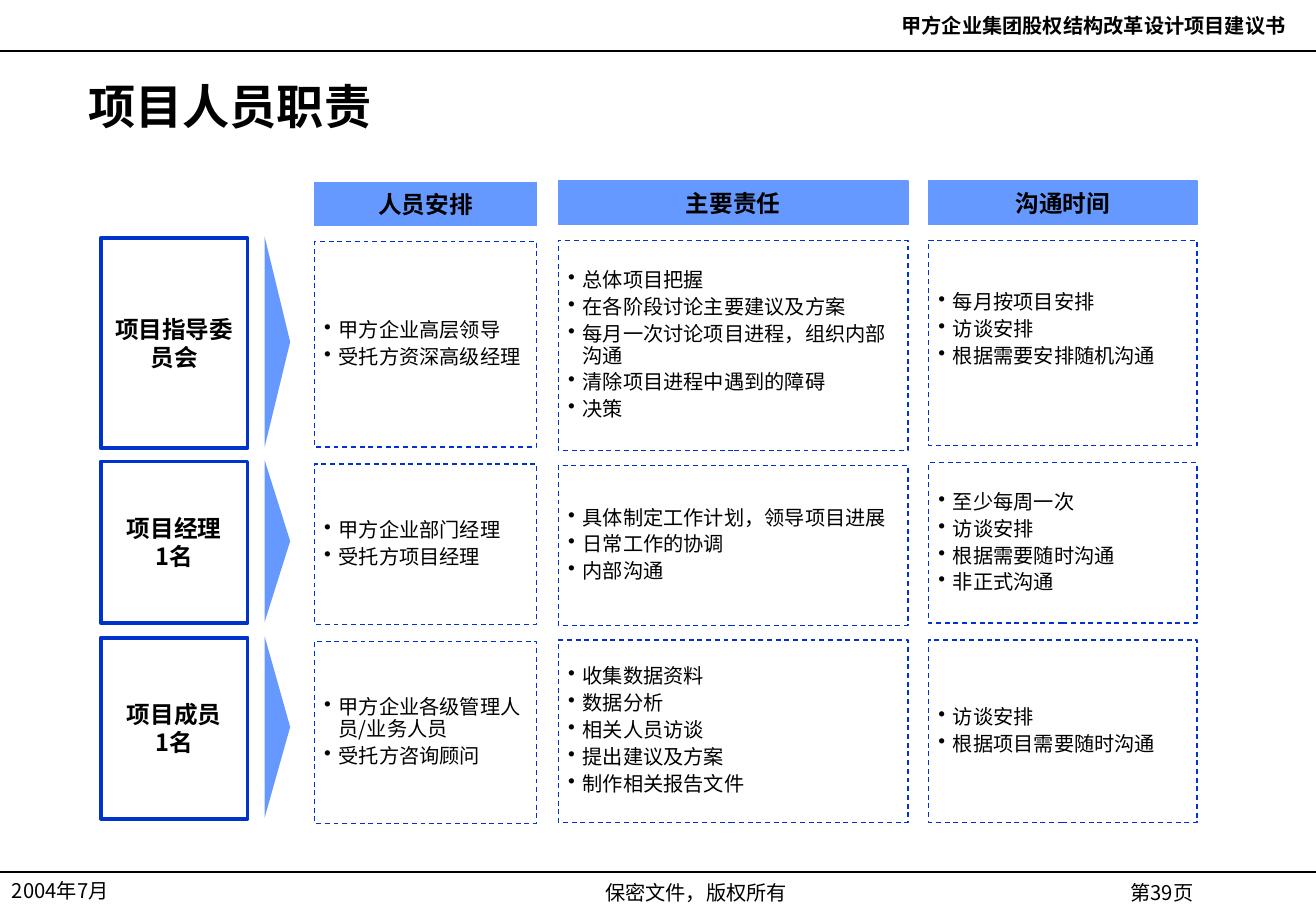
import pptx
import pptx.util
import pptx.dml.color
import pptx.enum.dml
import pptx.enum.shapes
import pptx.enum.text
import pptx.oxml.ns
import lxml.etree

PX = 9144  # 100 px to the inch
Pt = pptx.util.Pt
RGB = pptx.dml.color.RGBColor
BLACK = RGB(0x00, 0x00, 0x00)
NAVY = RGB(0x00, 0x33, 0xCC)
SKY = RGB(0x66, 0x99, 0xFF)
SANS = "Noto Sans CJK SC"
SERIF = "Times New Roman"
KIND = pptx.enum.shapes.MSO_SHAPE
DASH = pptx.enum.dml.MSO_LINE.DASH
MID = pptx.enum.text.MSO_ANCHOR.MIDDLE
TOP = pptx.enum.text.MSO_ANCHOR.TOP
LEFT = pptx.enum.text.PP_ALIGN.LEFT
MIDST = pptx.enum.text.PP_ALIGN.CENTER
RIGHT = pptx.enum.text.PP_ALIGN.RIGHT
qn = pptx.oxml.ns.qn

deck = pptx.Presentation()
deck.slide_width, deck.slide_height = 1084 * PX, 750 * PX
slide = deck.slides.add_slide(deck.slide_layouts[6])


def write(shape, lines, size, align=MIDST, bold=False, font=SANS,
          inset=(10, 5, 10, 5), anchor=MID, dots=False):
    """Fill a shape with one paragraph per line, bulleted if dots is set."""
    frame = shape.text_frame
    frame.word_wrap = True
    frame.vertical_anchor = anchor
    (frame.margin_left, frame.margin_top,
     frame.margin_right, frame.margin_bottom) = [n * PX for n in inset]
    for i, line in enumerate(lines):
        para = frame.paragraphs[0] if i == 0 else frame.add_paragraph()
        para.alignment = align
        if dots:
            props = para._p.get_or_add_pPr()
            props.set("marL", str(12 * PX))
            props.set("indent", str(-12 * PX))
            tint = lxml.etree.SubElement(props, qn("a:buClr"))
            lxml.etree.SubElement(tint, qn("a:srgbClr"), val=str(BLACK))
            lxml.etree.SubElement(props, qn("a:buChar"), char="•")
            para.line_spacing = 0.9
            para.space_before = Pt(3 if i else 0)
        run = para.add_run()
        run.text = line
        run.font.size = Pt(size)
        run.font.bold = bold
        run.font.color.rgb = BLACK
        run.font.name = font
        lxml.etree.SubElement(run._r.get_or_add_rPr(), qn("a:ea"), typeface=SANS)


def draw(kind, x, y, w, h, fill=None, line=None, width=0.75):
    shape = slide.shapes.add_shape(kind, x * PX, y * PX, w * PX, h * PX)
    shape.shadow.inherit = False
    if fill is None:
        shape.fill.background()
    else:
        shape.fill.solid()
        shape.fill.fore_color.rgb = fill
    if line is None:
        shape.line.fill.background()
    else:
        shape.line.color.rgb = line
        shape.line.width = Pt(width)
    return shape


# Page rules
for y in (42, 718):
    rule = slide.shapes.add_connector(
        pptx.enum.shapes.MSO_CONNECTOR.STRAIGHT, 0, y * PX, 1084 * PX, y * PX)
    rule.line.color.rgb = BLACK
    rule.line.width = Pt(0.75)
    lxml.etree.SubElement(rule._element.spPr, qn("a:effectLst"))

# Title, header and footer
for text, x, y, w, h, size, align, bold, font, anchor in (
    ("项目人员职责", 63, 58, 975, 58, 28, LEFT, True, SANS, MID),
    ("甲方企业集团股权结构改革设计项目建议书", 690, 6, 379, 30, 12, RIGHT, True, SANS, TOP),
    ("2004年7月", 0, 718, 181, 30, 12, LEFT, False, SANS, TOP),
    ("保密文件，版权所有", 280, 720, 587, 30, 12, MIDST, False, SERIF, TOP),
    ("第39页", 876, 720, 162, 30, 12, MIDST, False, SANS, TOP),
):
    box = slide.shapes.add_textbox(x * PX, y * PX, w * PX, h * PX)
    write(box, [text], size, align, bold, font, anchor=anchor)

# Roles with their pointers
for role, y, h in (
    (["项目指导委员会"], 196, 173),
    (["项目经理", "1名"], 380, 133),
    (["项目成员", "1名"], 525, 149),
):
    write(draw(KIND.RECTANGLE, 83, y, 121, h, line=NAVY, width=2.25),
          role, 14, bold=True)
    tip = draw(KIND.ISOSCELES_TRIANGLE, 228 - h // 2, y + h // 2 - 11, h, 21, SKY)
    tip.rotation = 90

# Columns: heading, left, width, heading top, then cells as (top, height, points)
columns = (
    ("人员安排", 259, 183, 150, (
        (199, 169, ["甲方企业高层领导", "受托方资深高级经理"]),
        (382, 132, ["甲方企业部门经理", "受托方项目经理"]),
        (528, 150, ["甲方企业各级管理人员/业务人员", "受托方咨询顾问"]))),
    ("主要责任", 460, 288, 149, (
        (198, 173, ["总体项目把握", "在各阶段讨论主要建议及方案",
                    "每月一次讨论项目进程，组织内部沟通",
                    "清除项目进程中遇到的障碍", "决策"]),
        (383, 132, ["具体制定工作计划，领导项目进展", "日常工作的协调", "内部沟通"]),
        (527, 150, ["收集数据资料", "数据分析", "相关人员访谈",
                    "提出建议及方案", "制作相关报告文件"]))),
    ("沟通时间", 765, 221, 149, (
        (198, 169, ["每月按项目安排", "访谈安排", "根据需要安排随机沟通"]),
        (381, 132, ["至少每周一次", "访谈安排", "根据需要随时沟通", "非正式沟通"]),
        (527, 150, ["访谈安排", "根据项目需要随时沟通"]))),
)
for head, x, w, y, cells in columns:
    write(draw(KIND.RECTANGLE, x, y, w, 36, SKY, SKY), [head], 14,
          bold=True, inset=(0, 0, 0, 0))
    for top, h, points in cells:
        cell = draw(KIND.RECTANGLE, x, top, w, h, line=NAVY)
        cell.line.dash_style = DASH
        low = 26 if points[0] == "每月按项目安排" else 4  # this cell's text sits higher
        write(cell, points, 12, LEFT, inset=(8, 4, 8, low), dots=True)

deck.save("out.pptx")
